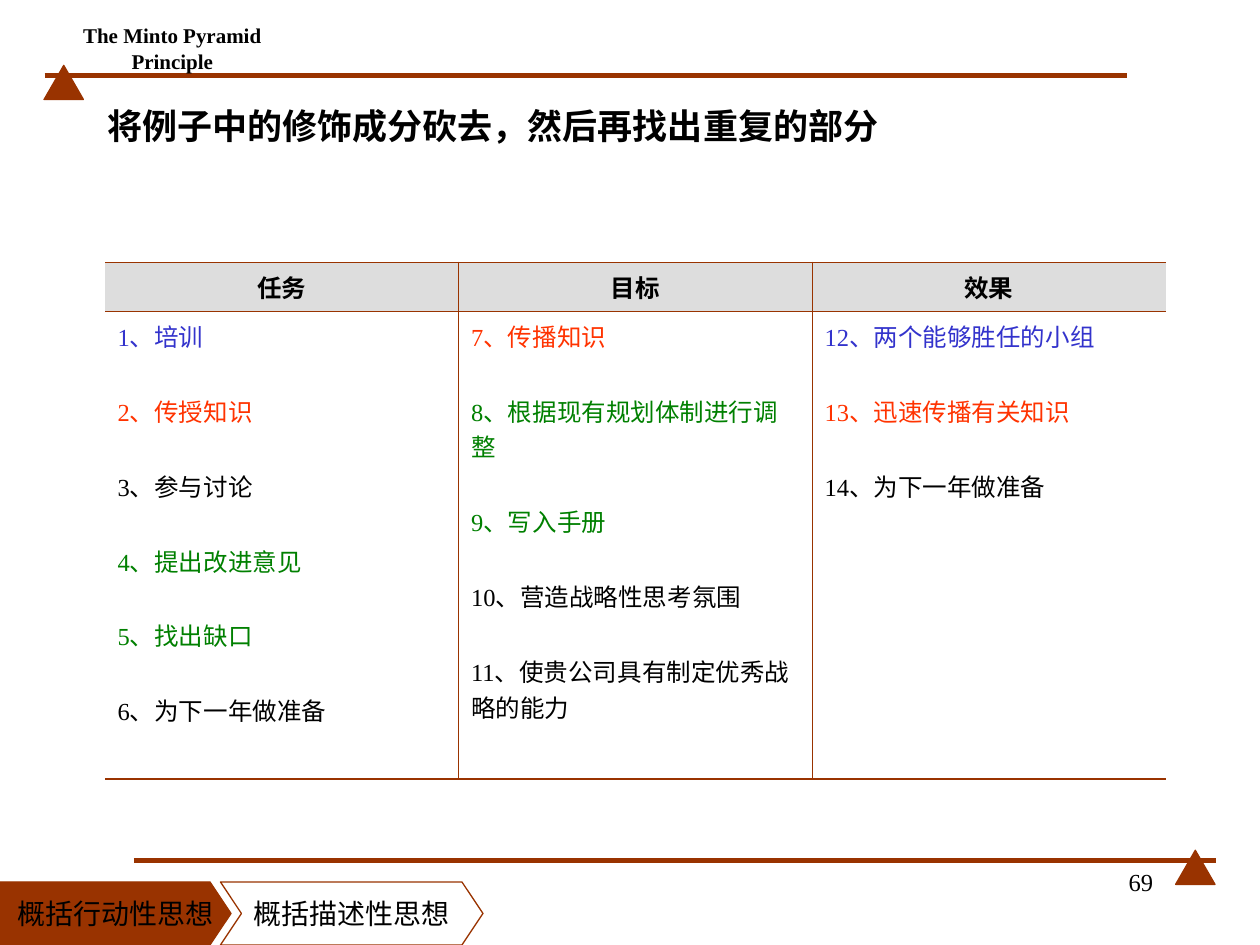
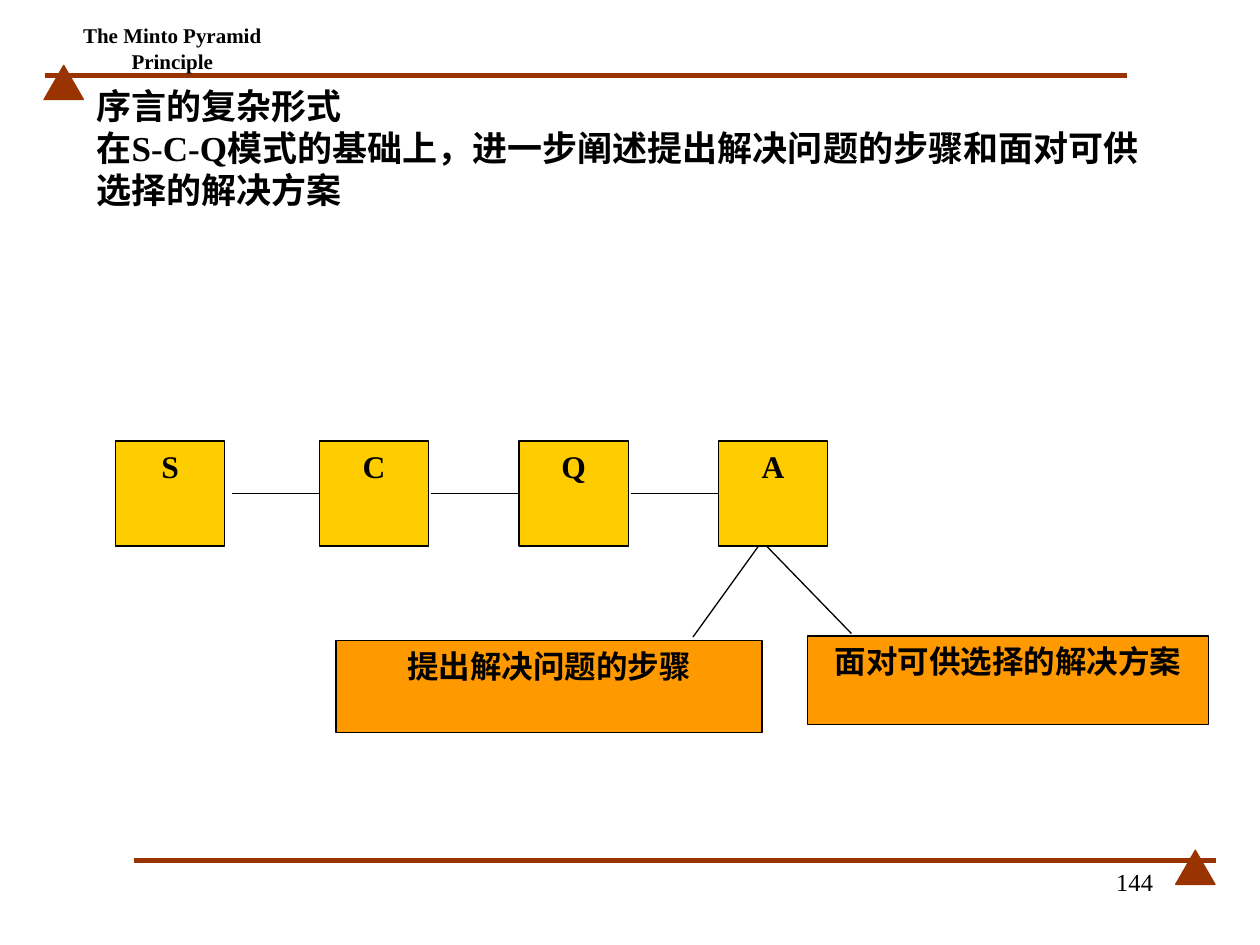
from pptx import Presentation
from pptx.dml.color import RGBColor
from pptx.enum.shapes import MSO_CONNECTOR, MSO_SHAPE
from pptx.enum.text import MSO_ANCHOR, MSO_AUTO_SIZE, PP_ALIGN
from pptx.oxml.ns import qn
from pptx.util import Pt
from lxml.etree import SubElement

FONT = "Times New Roman"
BROWN, BLACK, GRAY = "993300", "000000", "DDDDDD"
BLUE, RED, GREEN = "3333CC", "FF3300", "008000"
YELLOW, ORANGE = "FFCC00", "FF9900"

TABLE_COLUMNS = [
    ("任务", [("1、培训", BLUE), ("2、传授知识", RED), ("3、参与讨论", BLACK),
            ("4、提出改进意见", GREEN), ("5、找出缺口", GREEN),
            ("6、为下一年做准备", BLACK)]),
    ("目标", [("7、传播知识", RED), ("8、根据现有规划体制进行调整", GREEN),
            ("9、写入手册", GREEN), ("10、营造战略性思考氛围", BLACK),
            ("11、使贵公司具有制定优秀战略的能力", BLACK)]),
    ("效果", [("12、两个能够胜任的小组", BLUE), ("13、迅速传播有关知识", RED),
            ("14、为下一年做准备", BLACK)]),
]


def color(value):
    """Turn a hex string into a colour."""
    return RGBColor.from_string(value)


def points(*values):
    """Turn numbers into point lengths."""
    return [Pt(value) for value in values]


def style_paragraph(paragraph, size, bold=False, fill=BLACK, alignment=PP_ALIGN.LEFT):
    """Set the font and alignment of a paragraph."""
    paragraph.alignment = alignment
    font = paragraph.font
    font.name, font.size, font.bold = FONT, Pt(size), bold
    font.color.rgb = color(fill)


def write_text(shape, text, size, bold=False, alignment=PP_ALIGN.CENTER,
               anchor=MSO_ANCHOR.TOP, wrap=True):
    """Write one paragraph into a shape."""
    frame = shape.text_frame
    frame.word_wrap, frame.vertical_anchor = wrap, anchor
    frame.text = text
    style_paragraph(frame.paragraphs[0], size, bold, alignment=alignment)


def paint(shape, fill, line):
    """Give a shape its fill and thin outline."""
    shape.shadow.inherit = False
    if fill:
        shape.fill.solid()
        shape.fill.fore_color.rgb = color(fill)
    else:
        shape.fill.background()
    shape.line.color.rgb = color(line)
    shape.line.width = Pt(0.75)


def add_preset(slide, kind, box, fill, line):
    """Add a painted preset shape."""
    shape = slide.shapes.add_shape(kind, *points(*box))
    paint(shape, fill, line)
    return shape


def add_line(slide, start, end, line=BLACK, width=0.75):
    """Add a straight line without shadow."""
    connector = slide.shapes.add_connector(MSO_CONNECTOR.STRAIGHT, *points(*start, *end))
    connector.line.color.rgb = color(line)
    connector.line.width = Pt(width)
    SubElement(connector._element.spPr, qn("a:effectLst"))


def add_band(slide, left, top, triangle_left):
    """Add a thick rule with its triangle."""
    add_line(slide, (left, top), (left + 618.5, top), BROWN, 3)
    add_preset(slide, MSO_SHAPE.ISOSCELES_TRIANGLE,
               (triangle_left, top - 5.8, 22.5, 19.5), BROWN, BROWN)


def add_title(slide, box, lines):
    """Place the title placeholder and fill its lines."""
    title = slide.shapes.title
    title.left, title.top, title.width, title.height = points(*box)
    frame = title.text_frame
    frame.text = "\n".join(lines)
    frame.word_wrap, frame.auto_size = True, MSO_AUTO_SIZE.NONE
    frame.vertical_anchor = MSO_ANCHOR.MIDDLE
    for paragraph in frame.paragraphs:
        style_paragraph(paragraph, 20, True)
        paragraph.line_spacing = Pt(24)


def add_framed_slide(presentation, number, title_box, title_lines):
    """Add a slide with bands, running head, page number and title."""
    slide = presentation.slides.add_slide(presentation.slide_layouts[5])
    add_band(slide, 25.5, 43.2, 25.2)
    add_band(slide, 76.5, 491.7, 671.8)
    head = slide.shapes.add_textbox(*points(16.5, 17.5, 164, 20))
    write_text(head, "The Minto Pyramid Principle", 12, True,
               anchor=MSO_ANCHOR.MIDDLE, wrap=False)
    page = slide.shapes.add_textbox(*points(516, 492, 150, 36))
    write_text(page, str(number), 14, alignment=PP_ALIGN.RIGHT)
    add_title(slide, title_box, title_lines)
    return slide


def set_borders(cell, widths):
    """Draw the borders of a cell; a zero width hides that side."""
    properties = cell._tc.get_or_add_tcPr()
    for index, (side, width) in enumerate(zip("LRTB", widths)):
        border = properties.makeelement(qn(f"a:ln{side}"), {"w": str(Pt(width))})
        properties.insert(index, border)
        if width:
            fill = SubElement(border, qn("a:solidFill"))
            SubElement(fill, qn("a:srgbClr"), val=BROWN)
        else:
            SubElement(border, qn("a:noFill"))


def add_idea_table(slide, left, top, width, heights):
    """Add the table of numbered ideas."""
    count = len(TABLE_COLUMNS)
    table = slide.shapes.add_table(2, count, *points(left, top, width, sum(heights))).table
    table.horz_banding = False
    for row, height in zip(table.rows, heights):
        row.height = Pt(height)
    for index, (heading, ideas) in enumerate(TABLE_COLUMNS):
        table.columns[index].width = Pt(width / count)
        header, body = table.cell(0, index), table.cell(1, index)
        header.text = heading
        style_paragraph(header.text_frame.paragraphs[0], 14, True, alignment=PP_ALIGN.CENTER)
        header.fill.solid()
        header.fill.fore_color.rgb = color(GRAY)
        body.fill.background()
        body.text = "\n".join(text for text, _ in ideas)
        for position, (_, fill) in enumerate(ideas):
            paragraph = body.text_frame.paragraphs[position]
            style_paragraph(paragraph, 14, fill=fill)
            if position:
                paragraph.space_before = Pt(22.4)
        sides = (0.45 if index else 0, 0.45 if index < count - 1 else 0)
        set_borders(header, (*sides, 1.08, 0.45))
        set_borders(body, (*sides, 0.45, 1.08))


def add_step(slide, box, text, notch, fill=None):
    """Add an arrow-shaped step, notched on the left if asked."""
    left, top, width, height = box
    right, middle, bottom = left + width, top + height / 2, top + height
    outline = [(right - 12, top), (right, middle), (right - 12, bottom), (left, bottom)]
    if notch:
        outline.append((left + notch, middle))
    builder = slide.shapes.build_freeform(left, top, scale=Pt(1))
    builder.add_line_segments(outline, close=True)
    step = builder.convert_to_shape()
    paint(step, fill, BROWN)
    write_text(step, text, 16, anchor=MSO_ANCHOR.MIDDLE, wrap=False)


def add_label_box(slide, box, text, fill):
    """Add a filled rectangle with a bold label at its top."""
    shape = add_preset(slide, MSO_SHAPE.RECTANGLE, box, fill, BLACK)
    write_text(shape, text, 18, True)


def add_chain(slide, top, size, lefts, letters):
    """Add a row of lettered boxes joined by lines."""
    width, height = size
    for index, (left, letter) in enumerate(zip(lefts, letters)):
        if index:
            middle = top + height / 2
            add_line(slide, (left - 50, middle), (left, middle))
        add_label_box(slide, (left, top, width, height), letter, YELLOW)


def add_branch(slide, start, end, box, text):
    """Add an answer box with the line leading to it."""
    add_line(slide, start, end)
    add_label_box(slide, box, text, ORANGE)


def build_table_slide(presentation):
    """Build the slide that sorts the ideas."""
    slide = add_framed_slide(presentation, 69, (54, 48.5, 629, 46),
                             ["将例子中的修饰成分砍去，然后再找出重复的部分"])
    add_idea_table(slide, 60, 150, 606, (28, 267))
    add_step(slide, (0, 504, 132, 36), "概括行动性思想", 0, BROWN)
    add_step(slide, (126, 504, 150, 36), "概括描述性思想", 12)


def build_chain_slide(presentation):
    """Build the slide with the S-C-Q-A chain."""
    slide = add_framed_slide(presentation, 144, (48, 61, 629, 46), [
        "序言的复杂形式",
        "在S-C-Q模式的基础上，进一步阐述提出解决问题的步骤和面对可供选择的解决方案"])
    add_chain(slide, 252, (62.5, 60), (66, 182.5, 296.5, 410.5), "SCQA")
    add_branch(slide, (433.5, 312), (396, 364), (192, 366, 243.5, 52.5), "提出解决问题的步骤")
    add_branch(slide, (438, 312), (486.5, 362), (461.5, 363.5, 229, 50.5), "面对可供选择的解决方案")


def main():
    """Build and save the presentation."""
    presentation = Presentation()
    presentation.slide_width, presentation.slide_height = points(720, 540)
    build_table_slide(presentation)
    build_chain_slide(presentation)
    presentation.save("out.pptx")


if __name__ == "__main__":
    main()
